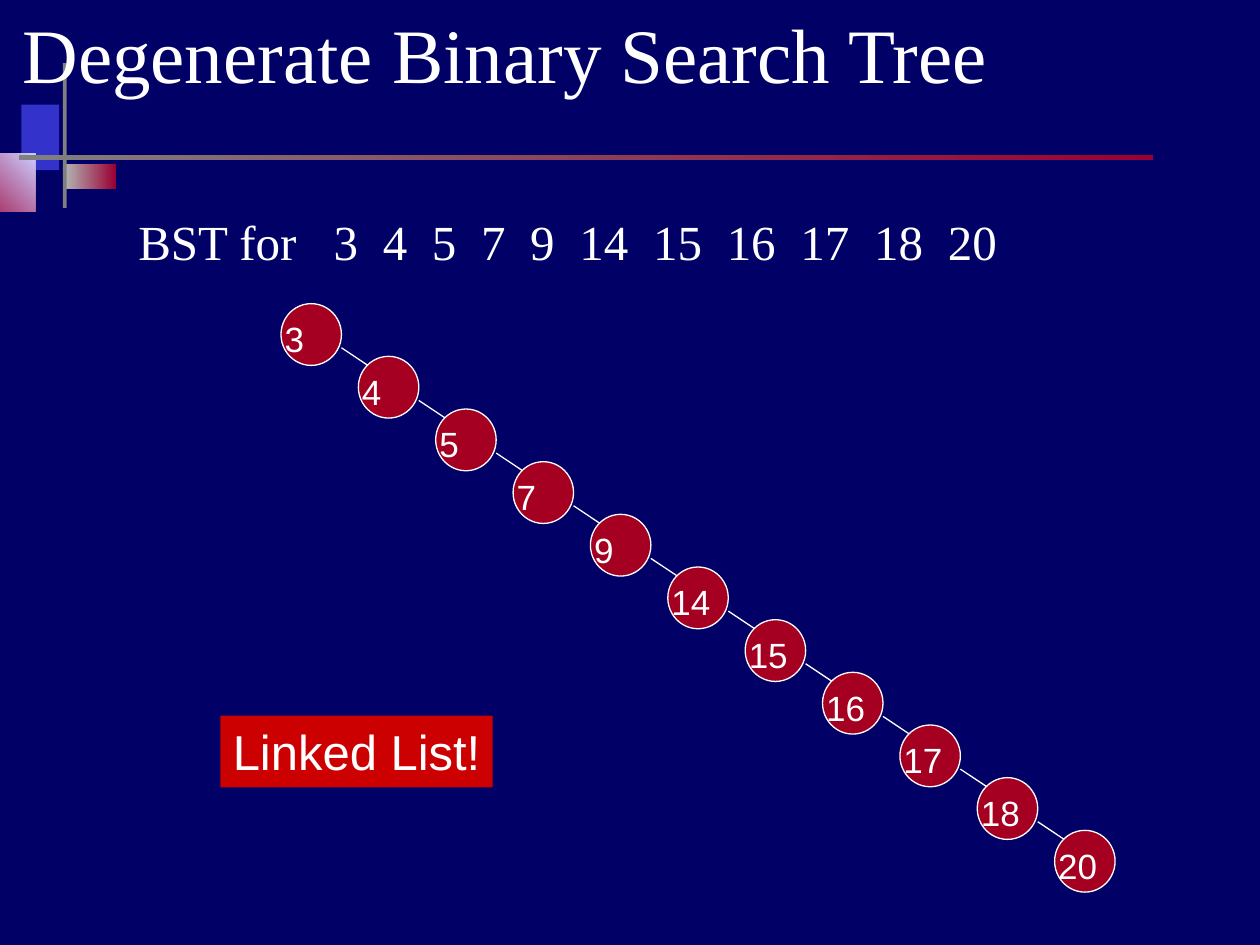
from pptx import Presentation
from pptx.dml.color import RGBColor as RGB
from pptx.enum.shapes import MSO_CONNECTOR as Link, MSO_SHAPE as Form
from pptx.enum.text import MSO_ANCHOR as Anchor
from pptx.oxml.ns import qn
from pptx.util import Inches, Pt
from lxml.etree import SubElement

TITLE = "Degenerate Binary Search Tree"
LEAD = "BST for"
KEYS = [3, 4, 5, 7, 9, 14, 15, 16, 17, 18, 20]
NOTE = "Linked List!"
HUES = {
    "back": "000066", "white": "FFFFFF", "node": "A50021", "note": "CC0000",
    "blue": "3333CC", "grey": "808080", "silver": "B2B2B2",
    "wine": "990033", "pale": "CCCCFF",
}
DECOR = [
    ((0.17, 0.83, 0.3, 0.52), ["blue"], 0),
    ((0.52, 1.3, 0.4, 0.2), ["silver", "wine"], 0),
    ((-0.33, 1.22, 0.61, 0.46), ["wine", "pale"], 45),
    ((0.5, 0.5, 0.03, 1.15), ["grey"], 0),
    ((0.15, 1.23, 9, 0.04), ["grey", "wine"], 0),
]
LEFT, TOP = 2.23, 2.41
RIGHT, DOWN = 8.37, 6.59
WIDE, HIGH = 0.48, 0.49
TAB, STEP, DIGIT = 1.55, 0.39, 0.195


def hue(name):
    return RGB.from_string(HUES[name])


def shape(form, box, tones, angle=0):
    item = slide.shapes.add_shape(form, *map(Inches, box))
    item.shadow.inherit = False
    item.line.fill.background()
    if len(tones) == 1:
        item.fill.solid()
        item.fill.fore_color.rgb = hue(tones[0])
    else:
        item.fill.gradient()
        item.fill.gradient_angle = angle
        for stop, tone, place in zip(item.fill.gradient_stops, tones, (0, 1)):
            stop.color.rgb = hue(tone)
            stop.position = place
    return item


def outline(item):
    item.line.color.rgb = hue("white")
    item.line.width = Pt(0.75)


def write(item, text, size, face, anchor=Anchor.TOP, wrap=True, tabs=()):
    frame = item.text_frame
    frame.word_wrap = wrap
    frame.vertical_anchor = anchor
    para = frame.paragraphs[0]
    para.text = text
    if tabs:
        stops = SubElement(para._p.get_or_add_pPr(), qn("a:tabLst"))
        for place in tabs:
            SubElement(stops, qn("a:tab"), pos=str(Inches(place)), algn="l")
    font = para.font
    font.size, font.name = Pt(size), face
    font.color.rgb = hue("white")
    return frame


def label(box, *args, **opts):
    return write(slide.shapes.add_textbox(*map(Inches, box)), *args, **opts)


deck = Presentation()
deck.slide_width, deck.slide_height = Inches(10), Inches(7.5)
slide = deck.slides.add_slide(deck.slide_layouts[6])
slide.background.fill.solid()
slide.background.fill.fore_color.rgb = hue("back")

for box, tones, angle in DECOR:
    shape(Form.RECTANGLE, box, tones, angle)

label((0.08, -0.08, 9, 1), TITLE, 44, "Times New Roman", Anchor.MIDDLE)

tabs = [TAB]
for key in KEYS[:-1]:
    tabs.append(tabs[-1] + STEP + DIGIT * (len(str(key)) - 1))
row = "\t".join([LEAD, *map(str, KEYS)])
frame = label((1, 1.58, 9, 0.75), row, 28, "Times New Roman", tabs=tabs)
frame.margin_top = Inches(0.1)

gaps = len(KEYS) - 1
spots = [(LEFT + (RIGHT - LEFT) * i / gaps, TOP + (DOWN - TOP) * i / gaps)
         for i in range(len(KEYS))]
for key, (x, y) in zip(KEYS, spots):
    outline(shape(Form.OVAL, (x, y, WIDE, HIGH), ["node"]))
    label((x - 0.07, y + 0.06, 0.61, 0.44), str(key), 20, "Arial")

for x, y in spots[:-1]:
    ends = (x + WIDE, y + 0.35, x + 0.69, y + HIGH)
    edge = slide.shapes.add_connector(Link.STRAIGHT, *map(Inches, ends))
    SubElement(edge._element.spPr, qn("a:effectLst"))
    outline(edge)

note = shape(Form.RECTANGLE, (1.75, 5.68, 2.16, 0.57), ["note"])
write(note, NOTE, 28, "Arial", wrap=False)

deck.save("out.pptx")
